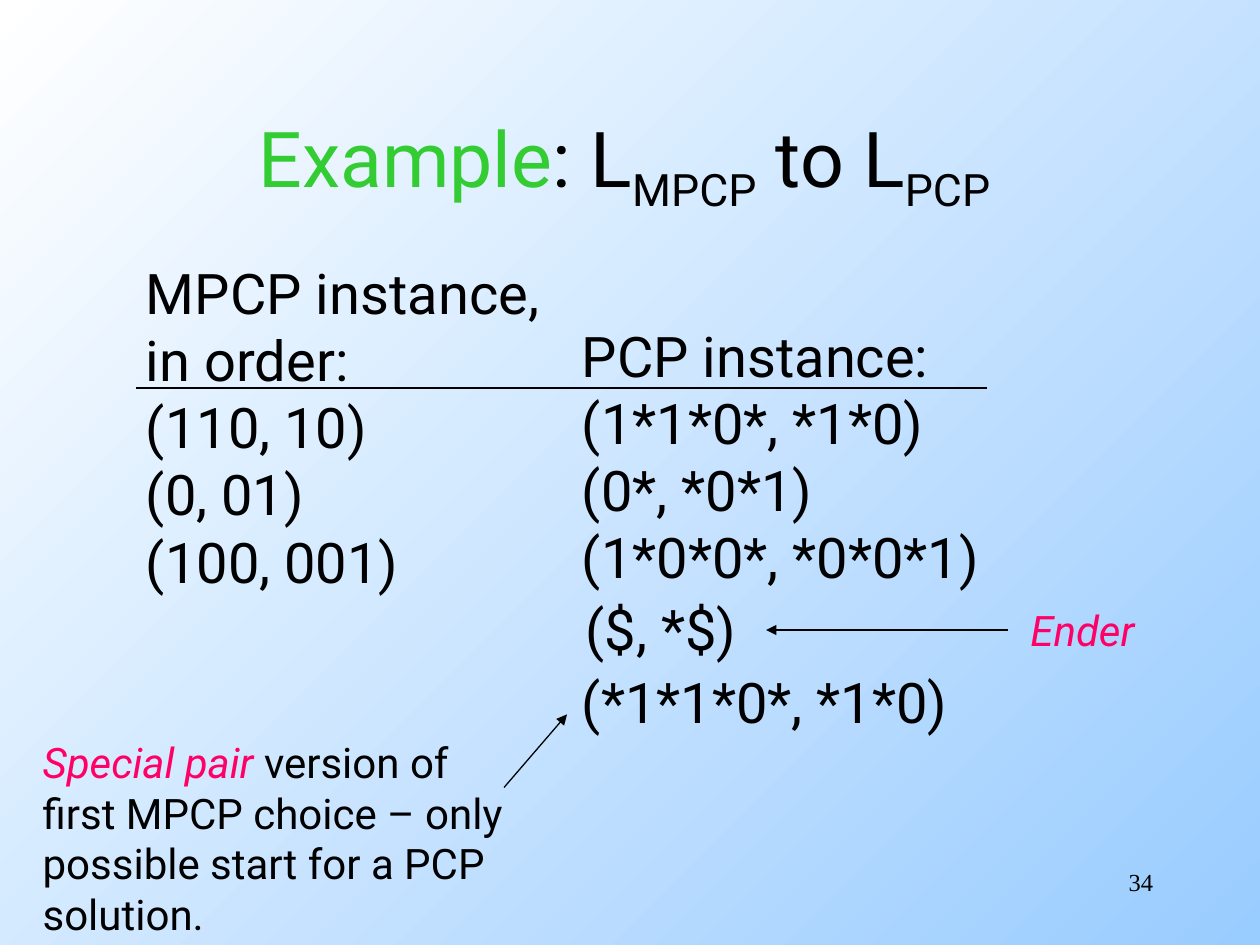
from lxml import etree
from pptx import Presentation
from pptx.dml.color import RGBColor
from pptx.enum.shapes import MSO_CONNECTOR
from pptx.enum.text import MSO_ANCHOR, MSO_AUTO_SIZE, PP_ALIGN
from pptx.oxml.ns import qn
from pptx.util import Inches, Pt

STRAIGHT = MSO_CONNECTOR.STRAIGHT
TOP, MIDDLE = MSO_ANCHOR.TOP, MSO_ANCHOR.MIDDLE
LEFT, CENTER, RIGHT = PP_ALIGN.LEFT, PP_ALIGN.CENTER, PP_ALIGN.RIGHT
FIT_SHAPE, NO_FIT = MSO_AUTO_SIZE.SHAPE_TO_FIT_TEXT, MSO_AUTO_SIZE.NONE

BLACK = RGBColor(0x00, 0x00, 0x00)
WHITE = RGBColor(0xFF, 0xFF, 0xFF)
SKY = RGBColor(0x99, 0xCC, 0xFF)
GREEN = RGBColor(0x33, 0xCC, 0x33)
PINK = RGBColor(0xFF, 0x00, 0x66)

PLAIN = {}
SUBSCRIPT = {"baseline": "-25000"}
EMPHASIS = {"color": PINK, "italic": True}

prs = Presentation()
prs.slide_width, prs.slide_height = Inches(10), Inches(7.5)
slide = prs.slides.add_slide(prs.slide_layouts[6])


def add_text(place, lines, size, font="Roboto", align=LEFT, anchor=TOP, wrap=False):
    """Add a text box; each line is a string or a list of (text, format) runs."""
    frame = slide.shapes.add_textbox(*map(Inches, place)).text_frame
    frame.word_wrap = wrap
    frame.auto_size = NO_FIT if wrap else FIT_SHAPE
    frame.vertical_anchor = anchor
    for i, line in enumerate(lines):
        paragraph = frame.add_paragraph() if i else frame.paragraphs[0]
        paragraph.alignment = align
        for text, look in [(line, PLAIN)] if isinstance(line, str) else line:
            run = paragraph.add_run()
            run.text = text
            values = {"name": font, "size": Pt(size), "italic": look.get("italic", False)}
            for key, value in values.items():
                setattr(run.font, key, value)
            run.font.color.rgb = look.get("color", BLACK)
            if "baseline" in look:
                run.font._element.set("baseline", look["baseline"])


def add_line(start, end, arrow=False):
    """Add a thin black line, with an arrowhead at its end if wanted."""
    line = slide.shapes.add_connector(STRAIGHT, *map(Inches, start + end))
    line.line.color.rgb = BLACK
    line.line.width = Pt(0.75)
    if arrow:
        etree.SubElement(line.line._get_or_add_ln(), qn("a:tailEnd"), type="triangle")
    etree.SubElement(line._element.spPr, qn("a:effectLst"))


# Background: white at top left to sky blue at bottom right
background = slide.background.fill
background.gradient()
background.gradient_angle = 315
for stop, color, position in zip(background.gradient_stops, (WHITE, SKY), (0, 1)):
    stop.color.rgb = color
    stop.position = position

# Slide number and title
add_text((7.17, 6.83, 2.08, 0.5), ["34"], 14, font="Times New Roman", align=RIGHT, wrap=True)
title = [("Example", {"color": GREEN}), (": L", PLAIN), ("MPCP", SUBSCRIPT),
         (" to L", PLAIN), ("PCP ", SUBSCRIPT)]
add_text((0.75, 0.67, 8.5, 1.25), [title], 44, align=CENTER, anchor=MIDDLE, wrap=True)

# The two instances, side by side
add_text((1.06, 2, 3.41, 2.77),
         ["MPCP instance,", "in order:", "(110, 10)", "(0, 01)", "(100, 001)"], 32)
add_text((4.52, 2.5, 3.7, 2.24),
         ["PCP instance:", "(1*1*0*, *1*0)", "(0*, *0*1)", "(1*0*0*, *0*0*1)"], 32)

# Ender pair
add_text((4.55, 4.67, 1.45, 0.64), ["($, *$)"], 32)
add_text((8.08, 4.75, 1.05, 0.5), [[("Ender", EMPHASIS)]], 24)
add_line((8, 5), (6.08, 5), arrow=True)

# Special pair
add_text((4.52, 5.25, 3.44, 0.64), ["(*1*1*0*, *1*0)"], 32)
add_text((0.24, 5.8, 3.91, 1.7),
         [[("Special pair ", EMPHASIS), ("version of", PLAIN)],
          "first MPCP choice – only", "possible start for a PCP", "solution."], 24)
add_line((4, 6.25), (4.5, 5.67), arrow=True)

# Rule under the headings
add_line((1.08, 3.08), (7.83, 3.08))

prs.save("out.pptx")
